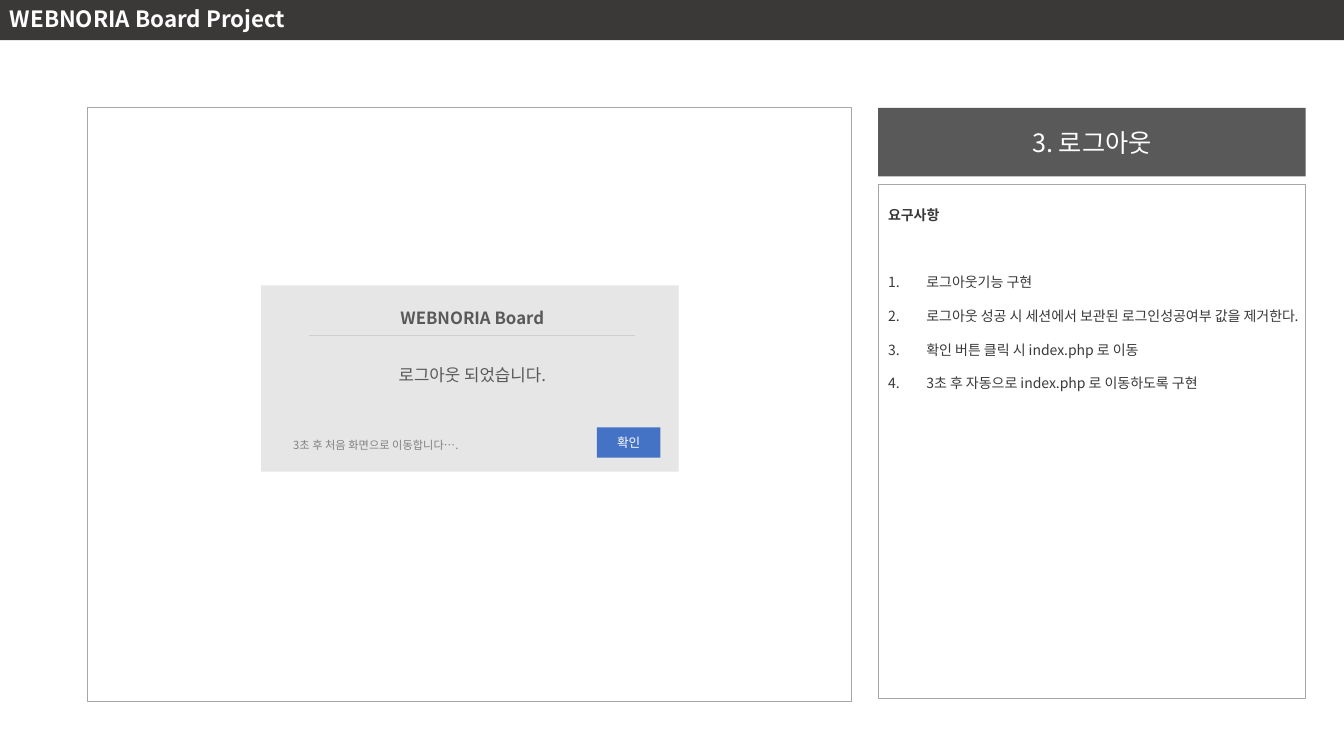
"""Builds the logout page of the board project storyboard."""
from lxml import etree
from pptx import Presentation
from pptx.dml.color import RGBColor
from pptx.enum import shapes, text
from pptx.oxml import ns
from pptx.util import Inches, Pt

FONT = "Noto Sans CJK KR"
LEFT, CENTER = text.PP_ALIGN.LEFT, text.PP_ALIGN.CENTER
TOP, MIDDLE = text.MSO_ANCHOR.TOP, text.MSO_ANCHOR.MIDDLE
BRAND = "WEBNORIA Board"

deck = Presentation()
deck.slide_width, deck.slide_height = Inches(13.33), Inches(7.5)
page = deck.slides.add_slide(deck.slide_layouts[6])


def add_box(place, fill=None, line=None, width=0.5):
    """Adds a rectangle, or a text box when there is no fill."""
    spot = [Inches(value) for value in place]
    if fill is None:
        box = page.shapes.add_textbox(*spot)
    else:
        box = page.shapes.add_shape(shapes.MSO_SHAPE.RECTANGLE, *spot)
        box.shadow.inherit = False
        box.fill.solid()
        box.fill.fore_color.rgb = RGBColor.from_string(fill)
        if line:
            box.line.color.rgb = RGBColor.from_string(line)
            box.line.width = Pt(width)
        else:
            box.line.fill.background()
    box.text_frame.word_wrap = True
    return box


def write(para, words, size, color, bold=False, align=LEFT):
    """Adds one run to a paragraph."""
    para.alignment = align
    span = para.add_run()
    span.text = words
    span.font.size, span.font.bold, span.font.name = Pt(size), bold, FONT
    span.font.color.rgb = RGBColor.from_string(color)
    etree.SubElement(span._r.get_or_add_rPr(), ns.qn("a:ea"), typeface=FONT)


add_box((0.87, 1.07, 7.58, 5.89), "FFFFFF", "A6A6A6", 0.75)
add_box((2.59, 2.83, 4.14, 1.85), "E7E6E6")

rule = page.shapes.add_connector(
    shapes.MSO_CONNECTOR.STRAIGHT, Inches(3.06), Inches(3.33), Inches(6.3), Inches(3.33))
rule.line.color.rgb = RGBColor.from_string("D0CECE")
rule.line.width = Pt(0.5)
etree.SubElement(rule._element.spPr, ns.qn("a:effectLst"))

labels = [
    ((2.81, 3.57, 3.75, 0.3), None, "로그아웃 되었습니다.", 12, "595959", False, CENTER, TOP),
    ((5.92, 4.24, 0.63, 0.3), "4472C4", "확인", 9, "FFFFFF", False, CENTER, MIDDLE),
    ((2.86, 3, 3.65, 0.32), None, BRAND, 12, "595959", True, CENTER, TOP),
    ((0, -0.03, 13.33, 0.43), "3B3838", BRAND + " Project", 16, "FFFFFF", True, LEFT, MIDDLE),
    ((8.71, 1.07, 4.24, 0.68), "595959", "3. 로그아웃", 18, "FFFFFF", False, CENTER, MIDDLE),
    ((2.81, 4.3, 2.09, 0.24), None, "3초 후 처음 화면으로 이동합니다….", 8, "808080", False, LEFT, TOP),
]
for place, fill, words, size, color, bold, align, anchor in labels:
    box = add_box(place, fill)
    box.text_frame.vertical_anchor = anchor
    write(box.text_frame.paragraphs[0], words, size, color, bold, align)

notes = add_box((8.71, 1.83, 4.24, 5.1), "FFFFFF", "A6A6A6").text_frame
notes.vertical_anchor = TOP
notes.margin_top = Inches(0.22)
write(notes.paragraphs[0], "요구사항", 10, "3B3838", True)

requirements = [
    "로그아웃기능 구현",
    "로그아웃 성공 시 세션에서 보관된 로그인성공여부 값을 제거한다.",
    "확인 버튼 클릭 시 index.php 로 이동",
    "3초 후 자동으로 index.php 로 이동하도록 구현",
]
for index, requirement in enumerate(requirements):
    para = notes.add_paragraph()
    para.space_before = Pt(12 if index else 36)
    write(para, requirement, 10, "3B3838")
    layout = para._p.get_or_add_pPr()
    layout.set("marL", str(Inches(0.38)))
    layout.set("indent", str(-Inches(0.38)))
    etree.SubElement(layout, ns.qn("a:buFont"), typeface="+mj-lt")
    etree.SubElement(layout, ns.qn("a:buAutoNum"), type="arabicPeriod")

deck.save("out.pptx")
